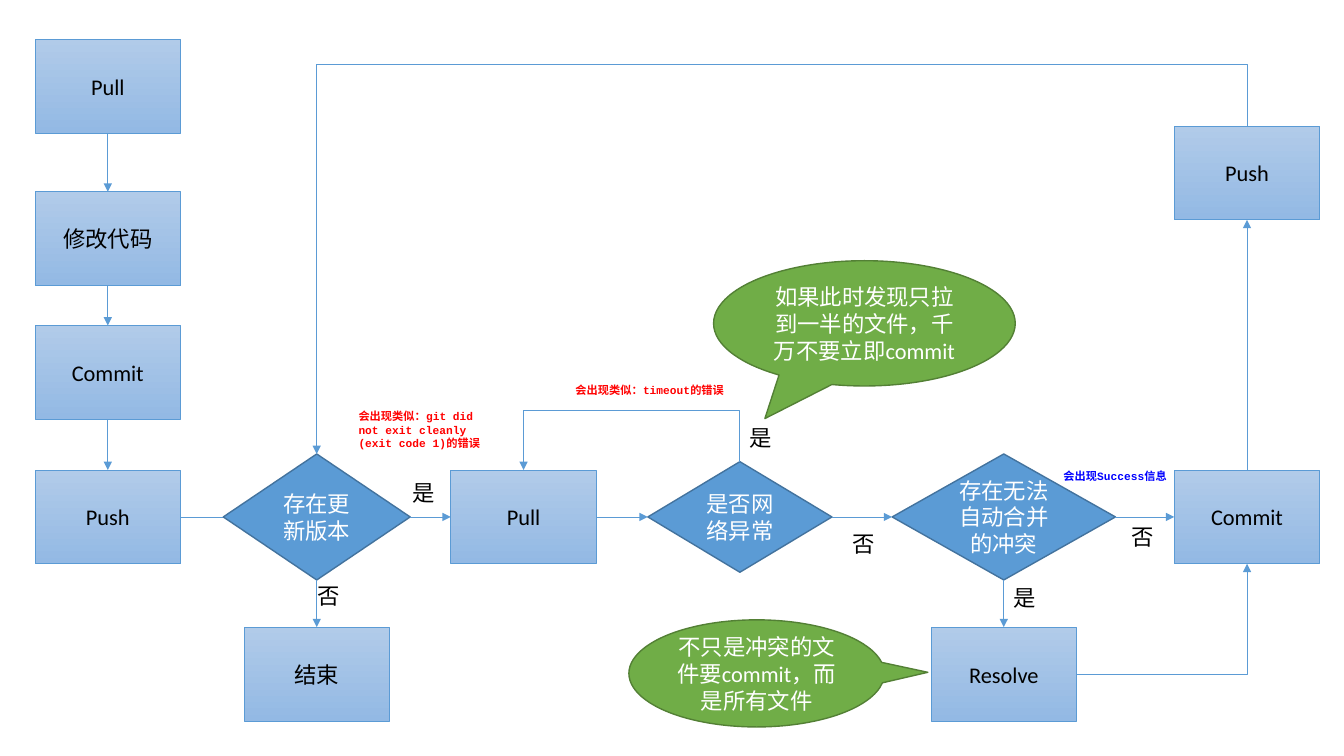
from lxml.etree import SubElement
from pptx import Presentation
from pptx.dml.color import RGBColor
from pptx.enum.shapes import MSO_CONNECTOR as LINK, MSO_SHAPE as SHAPE
from pptx.enum.text import MSO_ANCHOR as ANCHOR, PP_ALIGN as ALIGN
from pptx.oxml.ns import qn
from pptx.util import Pt

COLORS = {
    "box top": "B1CBE9", "box bottom": "93B9E4", "blue": "5B9BD5",
    "diamond edge": "43739E", "green": "70AD47", "green edge": "538035",
    "black": "000000", "white": "FFFFFF", "error": "FF0000", "success": "0000FF",
}
RGB = {name: RGBColor.from_string(value) for name, value in COLORS.items()}
TOP, LEFT, BOTTOM, RIGHT = range(4)
BOX_WIDTH, BOX_HEIGHT = 104, 67
ROW, LOWER_ROW = 369.25, 481.5
START, CHECK, PULL, NETWORK, CONFLICT, FINISH = 77, 226.25, 374, 528.5, 717, 890.75

deck = Presentation()
deck.slide_width, deck.slide_height = Pt(960), Pt(540)
page = deck.slides.add_slide(deck.slide_layouts[6])


def write(shape, text, color, size=16, font="Calibri", bold=False, align=ALIGN.CENTER):
    """Put one wrapped paragraph of text into a shape."""
    shape.text_frame.word_wrap = True
    para = shape.text_frame.paragraphs[0]
    para.text, para.alignment = text, align
    para.font.name, para.font.size, para.font.bold = font, Pt(size), bold
    para.font.color.rgb = RGB[color]


def add_arrow(kind, x1, y1, x2, y2):
    """Add a thin blue connector with an arrowhead at its end."""
    arrow = page.shapes.add_connector(kind, Pt(x1), Pt(y1), Pt(x2), Pt(y2))
    arrow.line.color.rgb, arrow.line.width = RGB["blue"], Pt(0.5)
    SubElement(arrow.line._get_or_add_ln(), qn("a:tailEnd"), type="triangle")
    SubElement(arrow._element.spPr, qn("a:effectLst"))
    return arrow


# The head of this arrow lies behind the first diamond
add_arrow(LINK.STRAIGHT, START + BOX_WIDTH / 2, ROW, 208.5, ROW)

# Steps, by centre
steps = {}
for name, text, x, y in [
    ("first pull", "Pull", START, 61.5),
    ("edit", "修改代码", START, 170.5),
    ("first commit", "Commit", START, 266),
    ("first push", "Push", START, ROW),
    ("end", "结束", CHECK, LOWER_ROW),
    ("pull", "Pull", PULL, ROW),
    ("resolve", "Resolve", CONFLICT, LOWER_ROW),
    ("commit", "Commit", FINISH, ROW),
    ("push", "Push", FINISH, 123.5),
]:
    box = page.shapes.add_shape(SHAPE.RECTANGLE, Pt(x - BOX_WIDTH / 2), Pt(y - BOX_HEIGHT / 2),
                                Pt(BOX_WIDTH), Pt(BOX_HEIGHT))
    box.shadow.inherit = False
    box.fill.gradient()
    box.fill.gradient_angle = 270
    for stop, color in zip(box.fill.gradient_stops, ("box top", "box bottom")):
        stop.color.rgb = RGB[color]
    box.line.color.rgb, box.line.width = RGB["blue"], Pt(0.5)
    write(box, text, "black")
    steps[name] = box

# Decisions and callouts, by centre
for name, kind, text, x, y, width, height, fill, edge, tip in [
    ("check", SHAPE.DIAMOND, "存在更新版本", CHECK, ROW, 133.5, 90, "blue", "diamond edge", ()),
    ("network", SHAPE.DIAMOND, "是否网络异常", NETWORK, ROW, 131.5, 79, "blue", "diamond edge", ()),
    ("conflict", SHAPE.DIAMOND, "存在无法自动合并的冲突", CONFLICT, ROW, 159.5, 90,
     "blue", "diamond edge", ()),
    ("half pulled", SHAPE.OVAL_CALLOUT, "如果此时发现只拉到一半的文件，千万不要立即commit",
     617.5, 231, 215.5, 89.5, "green", "green edge", (-0.33, 0.76)),
    ("all files", SHAPE.OVAL_CALLOUT, "不只是冲突的文件要commit，而是所有文件",
     540.5, 481, 182.5, 76.5, "green", "green edge", (0.67, -0.01)),
]:
    shape = page.shapes.add_shape(kind, Pt(x - width / 2), Pt(y - height / 2),
                                  Pt(width), Pt(height))
    shape.shadow.inherit = False
    shape.fill.solid()
    shape.fill.fore_color.rgb = RGB[fill]
    shape.line.color.rgb, shape.line.width = RGB[edge], Pt(1)
    for index, value in enumerate(tip):
        shape.adjustments[index] = value
    write(shape, text, "white")
    steps[name] = shape

# Straight arrows between steps
for source, source_side, target, target_side in [
    ("first pull", BOTTOM, "edit", TOP),
    ("edit", BOTTOM, "first commit", TOP),
    ("first commit", BOTTOM, "first push", TOP),
    ("check", RIGHT, "pull", LEFT),
    ("check", BOTTOM, "end", TOP),
    ("pull", RIGHT, "network", LEFT),
    ("network", RIGHT, "conflict", LEFT),
    ("conflict", RIGHT, "commit", LEFT),
    ("conflict", BOTTOM, "resolve", TOP),
    ("commit", TOP, "push", BOTTOM),
]:
    arrow = add_arrow(LINK.STRAIGHT, 0, 0, 0, 0)
    arrow.begin_connect(steps[source], source_side)
    arrow.end_connect(steps[target], target_side)

# One-bend arrow from Resolve up to Commit
arrow = add_arrow(LINK.ELBOW, CONFLICT + BOX_WIDTH / 2, LOWER_ROW, FINISH, ROW + BOX_HEIGHT / 2)
arrow._element.spPr.find(qn("a:prstGeom")).set("prst", "bentConnector2")

# Return arrows go up, left and down: an elbow turned by 270 degrees
for x1, y1, x2, y2, bend in [
    (FINISH, 90, CHECK, 324.25, 46),
    (NETWORK, 329.75, PULL, 335.75, 293.5),
]:
    across, down = x1 - x2, y2 - y1
    middle_x, middle_y = (x1 + x2) / 2, (y1 + y2) / 2
    arrow = add_arrow(LINK.ELBOW, middle_x + down / 2, middle_y + across / 2,
                      middle_x - down / 2, middle_y - across / 2)
    properties = arrow._element.spPr
    properties.find(qn("a:xfrm")).set("rot", str(270 * 60000))
    guides = properties.find(qn("a:prstGeom")).get_or_add_avLst()
    SubElement(guides, qn("a:gd"), name="adj1", fmla=f"val {round((bend - y1) / down * 100000)}")

# Branch labels and messages
branch = {"size": 16, "font": "Calibri", "bold": False}
message = {"size": 8, "font": "Courier New", "bold": True}
for text, left, top, width, height, color, style in [
    ("是", 287.5, 338.5, 30, 26.5, "black", branch),
    ("否", 219.5, 412.5, 30, 26.5, "black", branch),
    ("是", 528.5, 299.5, 30, 26.5, "black", branch),
    ("否", 602, 375, 30, 26.5, "black", branch),
    ("否", 801.5, 370, 30, 26.5, "black", branch),
    ("是", 717, 413.5, 30, 26.5, "black", branch),
    ("会出现类似：git did not exit cleanly (exit code 1)的错误",
     249, 289, 106.5, 36, "error", message),
    ("会出现Success信息", 752.5, 332, 88.5, 17, "success", message),
    ("会出现类似：timeout的错误", 404, 270.5, 127, 17, "error", message),
]:
    label = page.shapes.add_textbox(Pt(left), Pt(top), Pt(width), Pt(height))
    label.text_frame.vertical_anchor = ANCHOR.TOP
    write(label, text, color, align=ALIGN.LEFT, **style)

deck.save("out.pptx")
